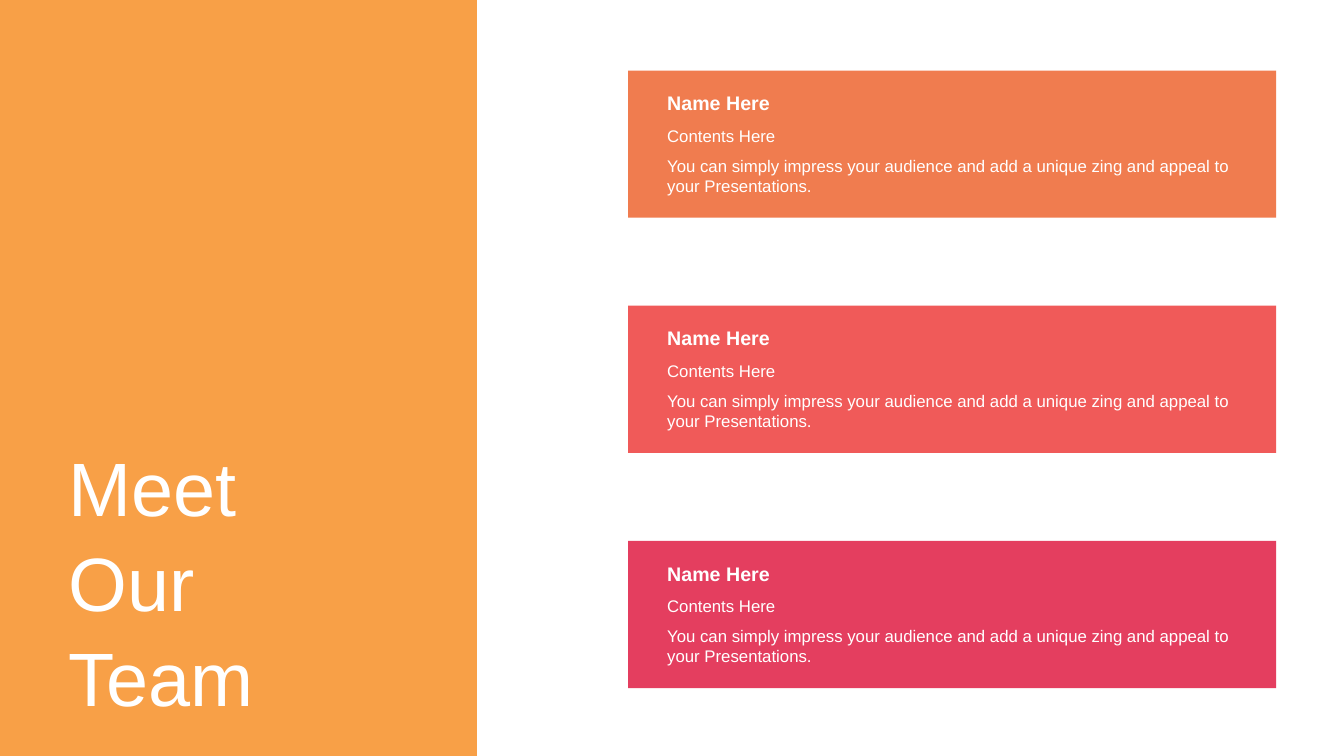
from pptx import Presentation
from pptx.dml.color import RGBColor
from pptx.enum.shapes import MSO_SHAPE as Shape
from pptx.enum.text import MSO_ANCHOR as Anchor, MSO_AUTO_SIZE as AutoSize
from pptx.util import Inches, Pt

FONT = "Arial"
WHITE = "FFFFFF"
PANEL = "F8A047"
CARD_FILLS = ["F07C4F", "F05A59", "E43E5F"]

# Lengths are percentages of the slide's width and height.
CARD_X, CARD_W, CARD_H = 46.73, 48.23, 19.47
CARD_TOP, CARD_STEP = 9.33, 31.11
TEXT_X, TEXT_W, TEXT_INSET = 48.9, 43.95, 2.07

# Text, row height, size, bold
CARD_LINES = [
    ("Name Here", 4.53, 14, True),
    ("Contents Here", 4, 12, False),
    ("You can simply impress your audience and add a unique zing "
     "and appeal to your Presentations.", 6.67, 12, False),
]


def color(hex_value):
    return RGBColor.from_string(hex_value)


class TeamSlide:
    def __init__(self, prs):
        self.width, self.height = prs.slide_width, prs.slide_height
        self.s = prs.slides.add_slide(prs.slide_layouts[6])

    def place(self, x, y, w, h):
        """Turn percentages of the slide into lengths."""
        return (int(self.width * x / 100), int(self.height * y / 100),
                int(self.width * w / 100), int(self.height * h / 100))

    def block(self, x, y, w, h, fill):
        sp = self.s.shapes.add_shape(Shape.RECTANGLE, *self.place(x, y, w, h))
        sp.shadow.inherit = False
        sp.fill.solid()
        sp.fill.fore_color.rgb = color(fill)
        sp.line.fill.background()

    def text(self, shapes, x, y, w, h, text, size, bold=False,
             anchor=Anchor.TOP, spacing=1.0):
        tf = shapes.add_textbox(*self.place(x, y, w, h)).text_frame
        tf.word_wrap = True
        tf.auto_size = AutoSize.SHAPE_TO_FIT_TEXT
        tf.vertical_anchor = anchor
        tf.text = text
        for p in tf.paragraphs:
            p.line_spacing = spacing
            for r in p.runs:
                r.font.name = FONT
                r.font.size = Pt(size)
                r.font.bold = bold
                r.font.color.rgb = color(WHITE)

    def card_text(self, y):
        """Stack the lines of one member in a group."""
        group = self.s.shapes.add_group_shape()
        for text, height, size, bold in CARD_LINES:
            self.text(group.shapes, TEXT_X, y, TEXT_W, height, text, size, bold)
            y += height


def main():
    prs = Presentation()
    prs.slide_width, prs.slide_height = Inches(13.33), Inches(7.5)
    team = TeamSlide(prs)

    team.block(0, 0, 35.48, 100, PANEL)
    for i, fill in enumerate(CARD_FILLS):
        top = CARD_TOP + i * CARD_STEP
        team.block(CARD_X, top, CARD_W, CARD_H, fill)
        team.card_text(top + TEXT_INSET)
    team.text(team.s.shapes, 4.35, 57.73, 18.45, 37.73, "Meet\nOur\nTeam", 54,
              anchor=Anchor.MIDDLE, spacing=1.05)

    prs.save("out.pptx")


if __name__ == "__main__":
    main()
